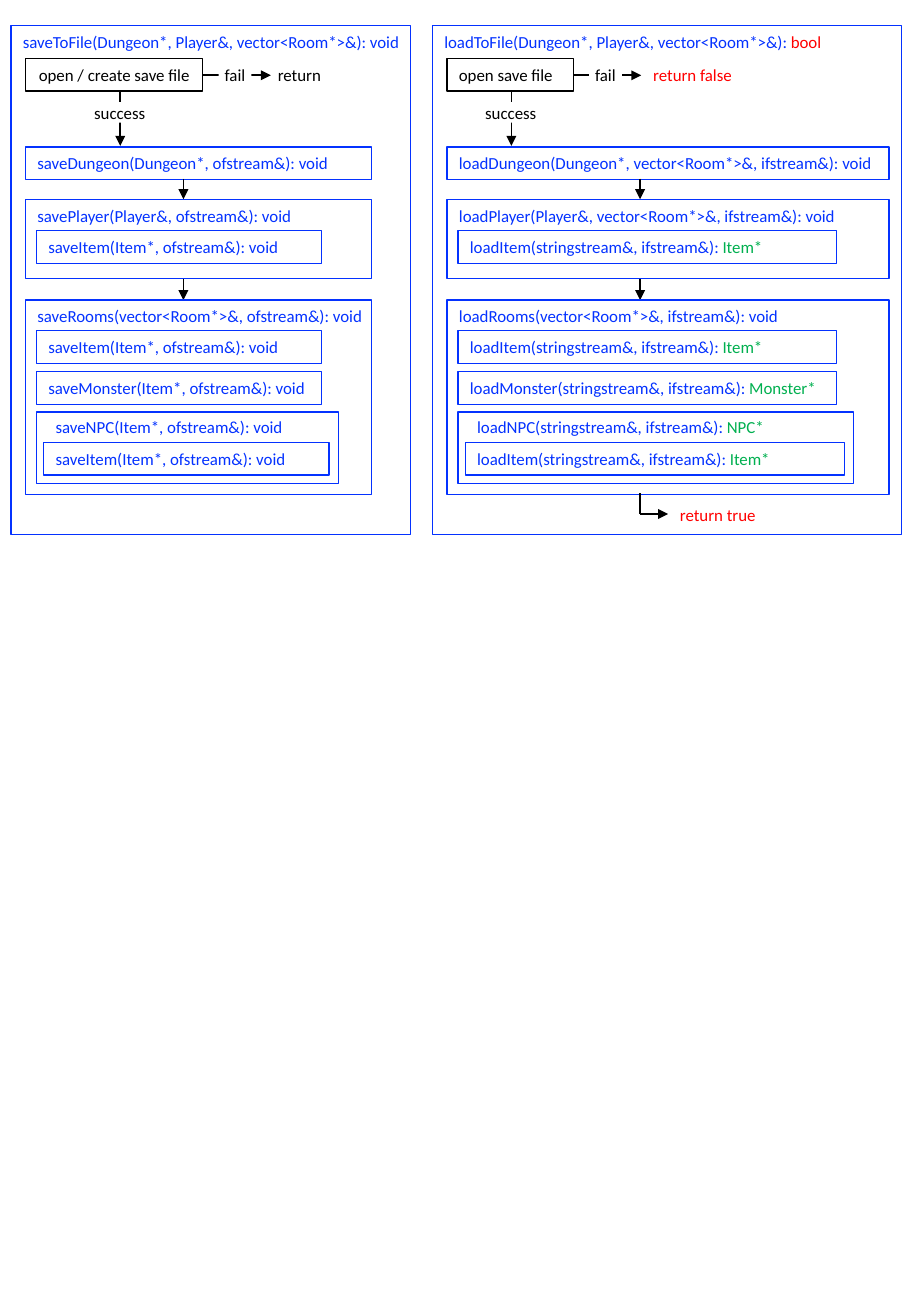
"""Build a slide with the call flow for saving and loading a game."""
from lxml import etree
from pptx import Presentation
from pptx.dml.color import RGBColor
from pptx.enum.shapes import MSO_CONNECTOR as CONNECTOR, MSO_SHAPE as SHAPE
from pptx.enum.text import MSO_ANCHOR as ANCHOR, PP_ALIGN as ALIGN
from pptx.oxml.ns import qn
from pptx.util import Inches, Pt

BLUE, BLACK, RED, GREEN, WHITE = "0432FF", "000000", "FF0000", "00B050", "FFFFFF"
ROW = 0.27
LABEL = 0.17

deck = Presentation()
deck.slide_width, deck.slide_height = Inches(7.5), Inches(10.83)
slide = deck.slides.add_slide(deck.slide_layouts[6])


def put(text, left, top, width, height=ROW, color=BLUE, result="", result_color=GREEN,
        line=None, fill=None, align=ALIGN.LEFT, anchor=ANCHOR.TOP, wrap=True):
    """Place text, boxed if it has a line or fill, with its result in a second colour."""
    area = [Inches(length) for length in (left, top, width, height)]
    if line or fill:
        block = slide.shapes.add_shape(SHAPE.RECTANGLE, *area)
        block.shadow.inherit = False
        if fill:
            block.fill.solid()
            block.fill.fore_color.rgb = RGBColor.from_string(fill)
        else:
            block.fill.background()
        if line:
            block.line.color.rgb = RGBColor.from_string(line)
            block.line.width = Pt(0.75)
        else:
            block.line.fill.background()
    else:
        block = slide.shapes.add_textbox(*area)
    frame = block.text_frame
    frame.word_wrap, frame.vertical_anchor = wrap, anchor
    paragraph = frame.paragraphs[0]
    paragraph.alignment = align
    for words, tint in ((text, color), (result, result_color)):
        if words:
            run = paragraph.add_run()
            run.text = words
            run.font.name, run.font.size = "Calibri", Pt(10)
            run.font.color.rgb = RGBColor.from_string(tint)


def connect(x1, y1, x2, y2, head=True):
    """Draw a black connector, with an arrowhead at its end by default."""
    link = slide.shapes.add_connector(CONNECTOR.STRAIGHT, *map(Inches, (x1, y1, x2, y2)))
    link.line.color.rgb = RGBColor.from_string(BLACK)
    link.line.width = Pt(1)
    if head:
        etree.SubElement(link.line._get_or_add_ln(), qn("a:tailEnd"), type="triangle")
    etree.SubElement(link._element.spPr, qn("a:effectLst"))


save = dict(
    left=0.09, width=3.29, step_width=2.85, item_width=2.35, npc_width=2.49,
    title=("saveToFile(Dungeon*, Player&, vector<Room*>&): void", ""),
    start="open / create save file", start_width=1.46, start_align=ALIGN.CENTER,
    success_x=0.99, flow_x=1.51,
    failure="return", failure_width=0.47, failure_color=BLACK, failure_align=ALIGN.CENTER,
    dungeon="saveDungeon(Dungeon*, ofstream&): void",
    player="savePlayer(Player&, ofstream&): void",
    rooms="saveRooms(vector<Room*>&, ofstream&): void",
    item=("saveItem(Item*, ofstream&): void", ""),
    monster=("saveMonster(Item*, ofstream&): void", ""),
    npc=("saveNPC(Item*, ofstream&): void", ""),
)
load = dict(
    left=3.56, width=3.86, step_width=3.64, item_width=3.12, npc_width=3.26,
    title=("loadToFile(Dungeon*, Player&, vector<Room*>&): ", "bool"),
    start="open save file", start_width=1.04, start_align=ALIGN.LEFT,
    success_x=4.21, flow_x=5.27,
    failure="return false", failure_width=0.83, failure_color=RED, failure_align=ALIGN.LEFT,
    dungeon="loadDungeon(Dungeon*, vector<Room*>&, ifstream&): void",
    player="loadPlayer(Player&, vector<Room*>&, ifstream&): void",
    rooms="loadRooms(vector<Room*>&, ifstream&): void",
    item=("loadItem(stringstream&, ifstream&): ", "Item*"),
    monster=("loadMonster(stringstream&, ifstream&): ", "Monster*"),
    npc=("loadNPC(stringstream&, ifstream&): ", "NPC*"),
)
label = dict(height=LABEL, fill=WHITE, anchor=ANCHOR.MIDDLE, wrap=False)

for side in (save, load):
    left, flow_x, success_x = side["left"], side["flow_x"], side["success_x"]
    step_x, item_x, npc_x = left + 0.12, left + 0.21, left + 0.27
    step_width, item_width = side["step_width"], side["item_width"]

    put("", left, 0.21, side["width"], 4.19, line=BLUE)
    signature, result = side["title"]
    put(signature, left, 0.21, 3.34, result=result, result_color=RED, wrap=False)

    put(side["start"], step_x, 0.48, side["start_width"], color=BLACK, line=BLACK,
        align=side["start_align"])
    connect(success_x, 0.75, success_x, 1.2)
    put("success", success_x - 0.2, 0.84, 0.39, color=BLACK, align=ALIGN.CENTER, **label)
    start_end = step_x + side["start_width"]
    connect(start_end, 0.62, start_end + 0.56, 0.62)
    put("fail", start_end + 0.13, 0.53, 0.27, color=BLACK, align=ALIGN.CENTER, **label)
    put(side["failure"], start_end + 0.56, 0.53, side["failure_width"],
        color=side["failure_color"], align=side["failure_align"], **label)

    put(side["dungeon"], step_x, 1.21, step_width, line=BLUE)
    for step, top, height in (("player", 1.64, 0.65), ("rooms", 2.47, 1.6)):
        connect(flow_x, top - 0.17, flow_x, top)
        put("", step_x, top, step_width, height, line=BLUE)
        put(side[step], step_x, top, step_width + 0.07, wrap=True)

    put("", item_x, 3.39, side["npc_width"], 0.59, line=BLUE)
    for call, x, top, line in (("item", item_x, 1.9, BLUE), ("item", item_x, 2.72, BLUE),
                               ("monster", item_x, 3.06, BLUE), ("npc", npc_x, 3.38, None),
                               ("item", npc_x, 3.64, BLUE)):
        signature, result = side[call]
        put(signature, x, top, item_width, result=result, line=line)

connect(load["flow_x"], 4.06, load["flow_x"], 4.23, head=False)
connect(load["flow_x"], 4.23, 5.5, 4.23)
put("return true", 5.5, 4.15, 0.83, color=RED, **label)

deck.save("out.pptx")
